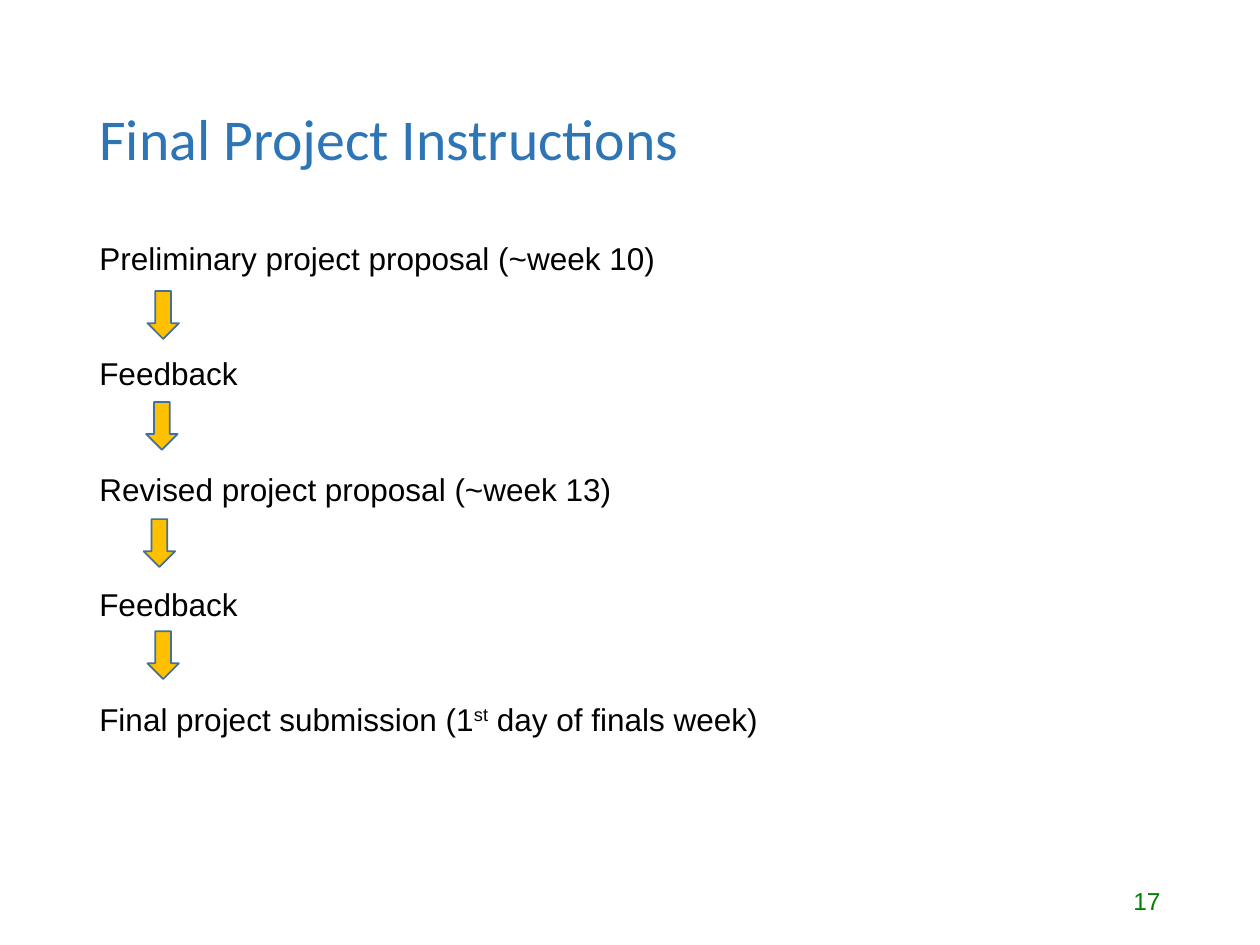
from dataclasses import dataclass

from pptx import Presentation
from pptx.dml.color import RGBColor
from pptx.enum.shapes import MSO_SHAPE
from pptx.enum.text import MSO_ANCHOR, PP_ALIGN
from pptx.slide import Slide
from pptx.text.text import TextFrame, _Paragraph
from pptx.util import Inches, Pt

COLORS = {
    "title": "2E75B6",
    "body": "000000",
    "page_number": "008000",
    "arrow_fill": "FFC000",
    "arrow_line": "41719C",
}


@dataclass
class TextStyle:
    font: str
    size: float
    color: str


@dataclass
class Arrow:
    left: float
    top: float


TITLE = TextStyle("Calibri", 33, "title")
BODY = TextStyle("Arial", 18, "body")
PAGE_NUMBER = TextStyle("Arial", 14, "page_number")

# Each step is a list of runs; a run starting with ^ is raised
STEPS = [
    ["Preliminary project proposal (~week 10)"],
    ["Feedback"],
    ["Revised project proposal (~week 13)"],
    ["Feedback"],
    ["Final project submission (1", "^st", " day of finals week)"],
]
STEP_GAP = Pt(44.2)
ARROWS = [Arrow(1.17, 2.31), Arrow(1.16, 3.19), Arrow(1.14, 4.12), Arrow(1.17, 5.01)]


def color(name: str) -> RGBColor:
    return RGBColor.from_string(COLORS[name])


def add_text_box(slide: Slide, left: float, top: float, width: float, height: float,
                 anchor: MSO_ANCHOR) -> TextFrame:
    shape = slide.shapes.add_textbox(Inches(left), Inches(top), Inches(width), Inches(height))
    frame = shape.text_frame
    frame.word_wrap = True
    frame.vertical_anchor = anchor
    return frame


def write_runs(paragraph: _Paragraph, texts: list[str], style: TextStyle) -> None:
    for text in texts:
        run = paragraph.add_run()
        run.text = text.removeprefix("^")
        for name, value in {"name": style.font, "size": Pt(style.size)}.items():
            setattr(run.font, name, value)
        run.font.color.rgb = color(style.color)
        if text.startswith("^"):
            run.font._element.set("baseline", "30000")


def add_arrow(slide: Slide, arrow: Arrow) -> None:
    shape = slide.shapes.add_shape(MSO_SHAPE.DOWN_ARROW, Inches(arrow.left), Inches(arrow.top),
                                   Inches(0.25), Inches(0.38))
    shape.shadow.inherit = False
    shape.fill.solid()
    shape.fill.fore_color.rgb = color("arrow_fill")
    shape.line.color.rgb = color("arrow_line")
    shape.line.width = Pt(1)


def main() -> None:
    presentation = Presentation()
    presentation.slide_width, presentation.slide_height = Inches(10), Inches(7.5)
    slide = presentation.slides.add_slide(presentation.slide_layouts[6])

    # Title
    title = add_text_box(slide, 0.69, 0.4, 8.63, 1.45, MSO_ANCHOR.MIDDLE).paragraphs[0]
    title.line_spacing = 0.9
    write_runs(title, ["Final Project Instructions"], TITLE)

    # Page number
    number = add_text_box(slide, 7.06, 6.95, 2.25, 0.4, MSO_ANCHOR.MIDDLE).paragraphs[0]
    number.alignment = PP_ALIGN.RIGHT
    write_runs(number, ["17"], PAGE_NUMBER)

    # Project steps
    frame = add_text_box(slide, 0.69, 1.85, 5.9, 4, MSO_ANCHOR.TOP)
    for index, step in enumerate(STEPS):
        paragraph = frame.add_paragraph() if index else frame.paragraphs[0]
        if index:
            paragraph.space_before = STEP_GAP
        write_runs(paragraph, step, BODY)

    # Arrows between the steps
    for arrow in ARROWS:
        add_arrow(slide, arrow)

    presentation.save("out.pptx")


if __name__ == "__main__":
    main()
